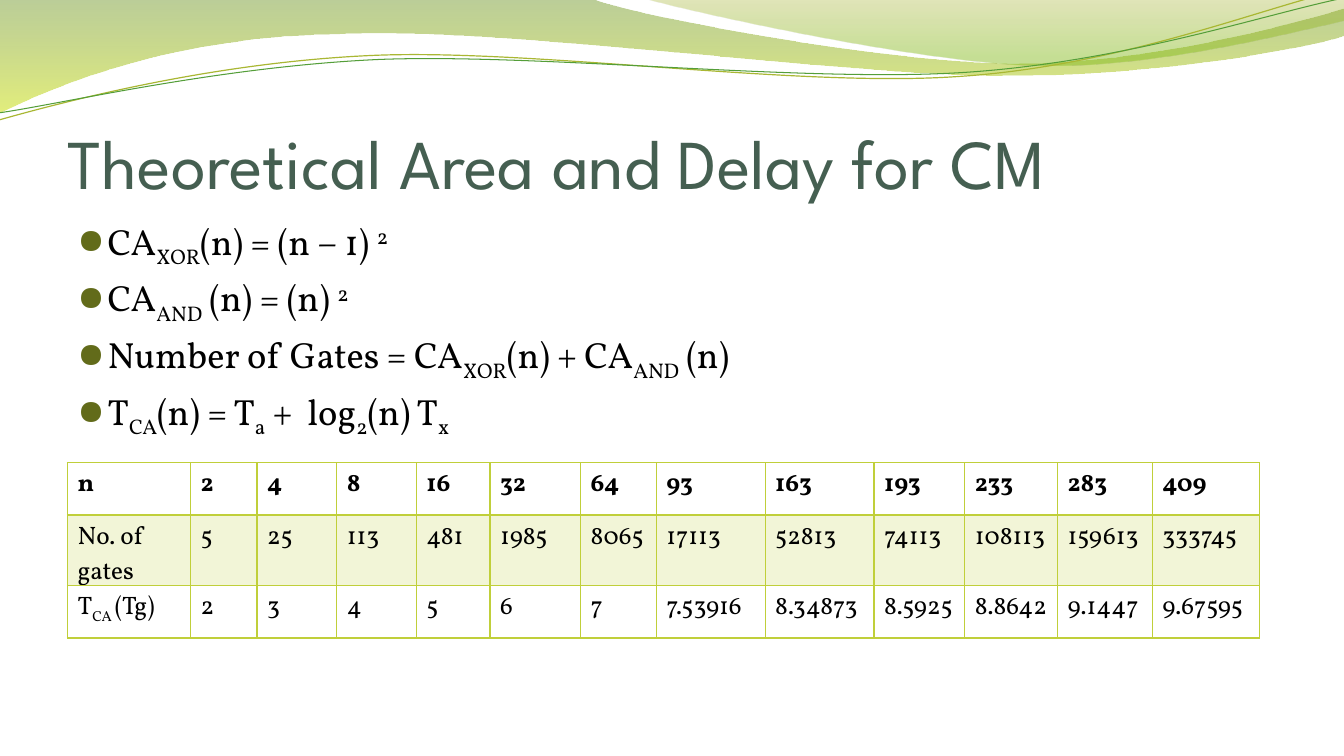
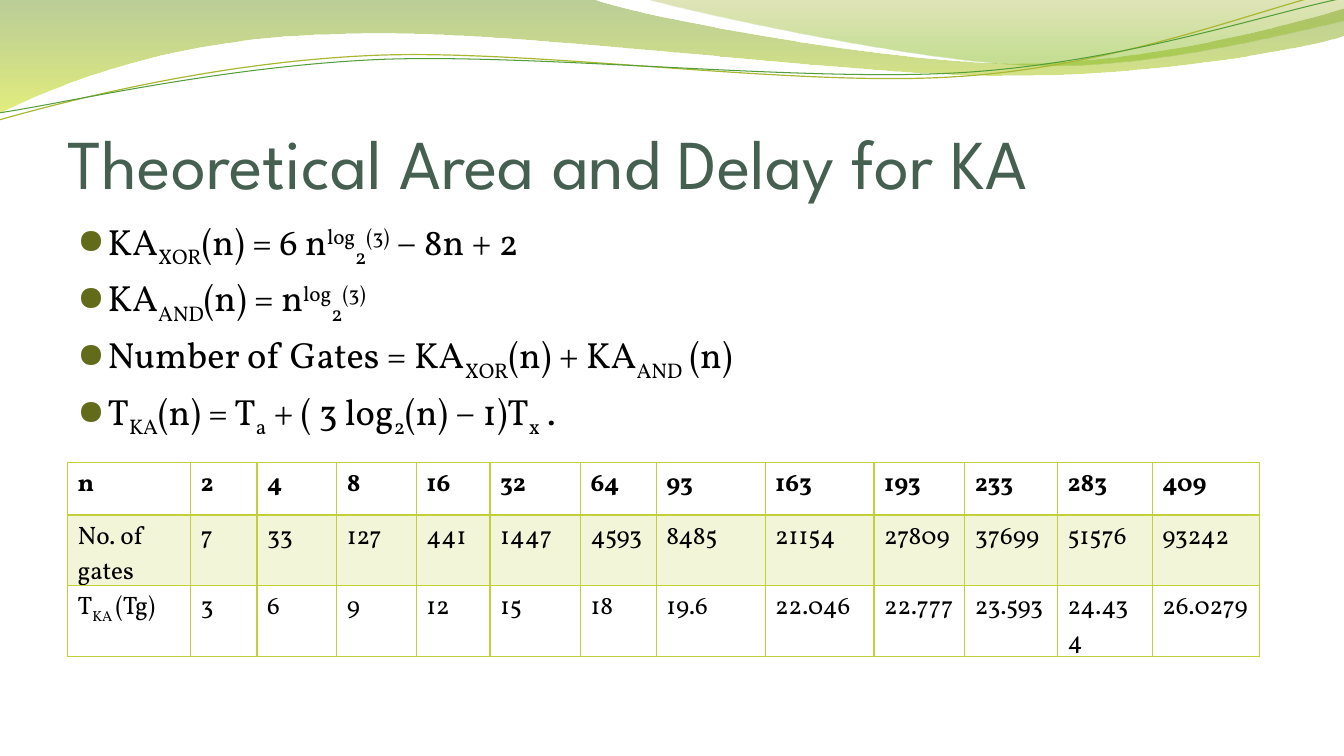
from dataclasses import dataclass

from lxml.etree import SubElement as Sub
from pptx import Presentation
from pptx.dml.color import RGBColor as Rgb
from pptx.enum.text import MSO_ANCHOR as Anchor
from pptx.oxml.ns import qn
from pptx.util import Emu, Pt

SCALE = 9144  # EMU in one px, at 100 px to the inch


@dataclass(frozen=True)
class Theme:
    head: str = "League Spartan"
    body: str = "Vollkorn"
    sign: str = "OpenSymbol"
    title: str = "455F51"
    ink: str = "000000"
    dot: str = "626B1A"
    lime: str = "C0CF3A"
    big: int = 50
    mid: int = 26
    small: int = 18


T = Theme()

# Top bands: start, then (x, y) ends or (x1, y1, x2, y2, x3, y3) curves
BANDS = [
    ([(0, 0), (587, -1), (634, 17, 884, 63, 1011, 63),
      (1137, 63, 1277, 26, 1333, 9), (1334, 36),
      (1311, 44, 1159, 76, 994, 75), (829, 75, 509, 28, 343, 34),
      (172, 36, 61, 83, -2, 113), (0, 0)],
     [(0, "69921C", 45), (100, "CCE10F", 55)]),
    ([(638, -1), (679, 11, 909, 62, 1025, 65),
      (1140, 69, 1282, 32, 1333, 21), (1333, 0), (638, -1)],
     [(0, "9BAA1A", 30), (80, "81BA16", 45)]),
]
WAVES = [
    ([(-1, 119), (63, 101, 210, 62, 369, 55), (527, 48, 789, 87, 949, 76),
      (1110, 66, 1251, 8, 1330, -10)], "A9B733", 0.85),
    ([(-1, 112), (62, 103, 218, 66, 377, 59), (537, 53, 796, 82, 955, 72),
      (1114, 62, 1255, 14, 1333, -2)], "549E39", 0.75),
]

# Table frame
COLS = [122, 66, 79, 79, 73, 90, 75, 108, 108, 90, 92, 94, 106]
ROW = 52
SIZES = "2 4 8 16 32 64 93 163 193 233 283 409"

# Slides: title, formulas ("|_" lowers a part, "|^" raises it), table rows
PAGES = [
    ("Theoretical Area and Delay for CM",
     ["CA|_XOR|(n) = (n − 1) |^2",
      "CA|_AND| (n) = (n) |^2",
      "Number of Gates = CA|_XOR|(n) + CA|_AND| (n)",
      "T|_CA|(n) = T|_a| +  log|_2|(n) T|_x"],
     "5 25 113 481 1985 8065 17113 52813 74113 108113 159613 333745",
     "T|_CA |(Tg)",
     "2 3 4 5 6 7 7.53916 8.34873 8.5925 8.8642 9.1447 9.67595"),
    ("Theoretical Area and Delay for KA",
     ["KA|_XOR|(n) = 6 n|^log|_2|^(3)| − 8n + 2",
      "KA|_AND|(n) = n|^log|_2|^(3)",
      "Number of Gates = KA|_XOR|(n) + KA|_AND| (n)",
      "T|_KA|(n) = T|_a| + ( 3 log|_2|(n) − 1)T|_x| ."],
     "7 33 127 441 1447 4593 8485 21154 27809 37699 51576 93242",
     "T|_KA |(Tg)",
     "3 6 9 12 15 18 19.6 22.046 22.777 23.593 24.434 26.0279"),
]


def px(n):
    return Emu(n * SCALE)


def fade(clr, pct):
    Sub(clr, qn("a:alpha"), val=str(pct * 1000))


# Text
def write(frame, lines, font=T.body, size=T.small, color=T.ink, bold=False,
          dots=False):
    for i, line in enumerate(lines):
        para = frame.add_paragraph() if i else frame.paragraphs[0]
        if dots:
            bullet(para)
        for part in line.split("|"):
            run = para.add_run()
            shift = {"_": -25000, "^": 30000}.get(part[0])
            run.text = part[1:] if shift else part
            run.font.name, run.font.size = font, Pt(size)
            run.font.bold = bold
            run.font.color.rgb = Rgb.from_string(color)
            if shift:
                run.font._element.set("baseline", str(shift))


def bullet(para):
    prop = para._p.get_or_add_pPr()
    prop.set("marL", str(px(30)))
    prop.set("indent", str(px(-30)))
    Sub(Sub(prop, qn("a:spcBef")), qn("a:spcPct"), val="20000")
    Sub(Sub(prop, qn("a:buClr")), qn("a:srgbClr"), val=T.dot)
    Sub(prop, qn("a:buSzPct"), val="95000")
    Sub(prop, qn("a:buFont"), typeface=T.sign)
    Sub(prop, qn("a:buChar"), char="●")


def box(slide, x, y, w, h, lines, **fmt):
    frame = slide.shapes.add_textbox(px(x), px(y), px(w), px(h)).text_frame
    frame.word_wrap = True
    write(frame, lines, **fmt)
    return frame


# Curved outlines: lay all points as lines, then bend each group of three
def curve(slide, steps, close):
    spots = [s[i:i + 2] for s in steps for i in range(0, len(s), 2)]
    pen = slide.shapes.build_freeform(*spots[0], scale=SCALE)
    pen.add_line_segments(spots[1:], close=close)
    shape = pen.convert_to_shape()
    shape.shadow.inherit = False
    lines = iter(shape._element.findall(".//" + qn("a:lnTo")))
    for step in steps[1:]:
        line = next(lines)
        if len(step) == 6:
            line.addprevious(bend := line.makeelement(qn("a:cubicBezTo")))
            for part in (line, next(lines), next(lines)):
                bend.append(part[0])
                part.getparent().remove(part)
    return shape


def band(slide, steps, stops):
    shape = curve(slide, steps, True)
    shape.line.fill.background()
    shape.fill.gradient()
    shape.fill.gradient_angle = 270
    for stop, (pos, color, _) in zip(shape.fill.gradient_stops, stops):
        stop.position = pos / 100
        stop.color.rgb = Rgb.from_string(color)
    clrs = shape._element.spPr.findall(".//" + qn("a:srgbClr"))
    for clr, (_, _, pct) in zip(clrs, stops):
        fade(clr, pct)


def wave(slide, steps, color, width):
    shape = curve(slide, steps, False)
    shape.fill.background()
    shape.line.color.rgb = Rgb.from_string(color)
    shape.line.width = Pt(width)


# Table
def edge(cell, side, width):
    line = Sub(cell._tc.get_or_add_tcPr(), qn("a:ln" + side),
               w=str(Pt(width)))
    Sub(Sub(line, qn("a:solidFill")), qn("a:srgbClr"), val=T.lime)


def grid(slide, x, y, rows):
    table = slide.shapes.add_table(len(rows), len(COLS), px(x), px(y),
                                   px(sum(COLS)), px(ROW * len(rows))).table
    table.horz_banding = False
    for col, w in zip(table.columns, COLS):
        col.width = px(w)
    for r, row in enumerate(rows):
        table.rows[r].height = px(ROW)
        for c, text in enumerate(row):
            cell = table.cell(r, c)
            cell.margin_left = cell.margin_right = px(10)
            cell.margin_top = cell.margin_bottom = px(5)
            write(cell.text_frame, [text], bold=r == 0)
            for side in "LRTB":
                thick = (r, side) in ((0, "B"), (1, "T"))
                edge(cell, side, 2 if thick else 1)
            if r % 2:
                cell.fill.solid()
                cell.fill.fore_color.rgb = Rgb.from_string(T.lime)
                fade(cell._tc.tcPr.find(qn("a:solidFill"))[0], 20)
            else:
                cell.fill.background()


# Slide
def page(deck, title, facts, gates, name, delays):
    slide = deck.slides.add_slide(deck.slide_layouts[6])
    for item in BANDS:
        band(slide, *item)
    for item in WAVES:
        wave(slide, *item)
    frame = box(slide, 67, 77, 1200, 125, [title], font=T.head, size=T.big,
                color=T.title)
    frame.vertical_anchor = Anchor.BOTTOM
    frame.margin_left = frame.margin_right = frame.margin_bottom = 0
    box(slide, 67, 212, 1200, 480, facts, size=T.mid, dots=True)
    grid(slide, 67, 459, [["n", *SIZES.split()],
                          ["No. of gates", *gates.split()],
                          [name, *delays.split()]])


def main():
    deck = Presentation()
    deck.slide_width, deck.slide_height = px(1333), px(750)
    for item in PAGES:
        page(deck, *item)
    deck.save("out.pptx")


if __name__ == "__main__":
    main()
